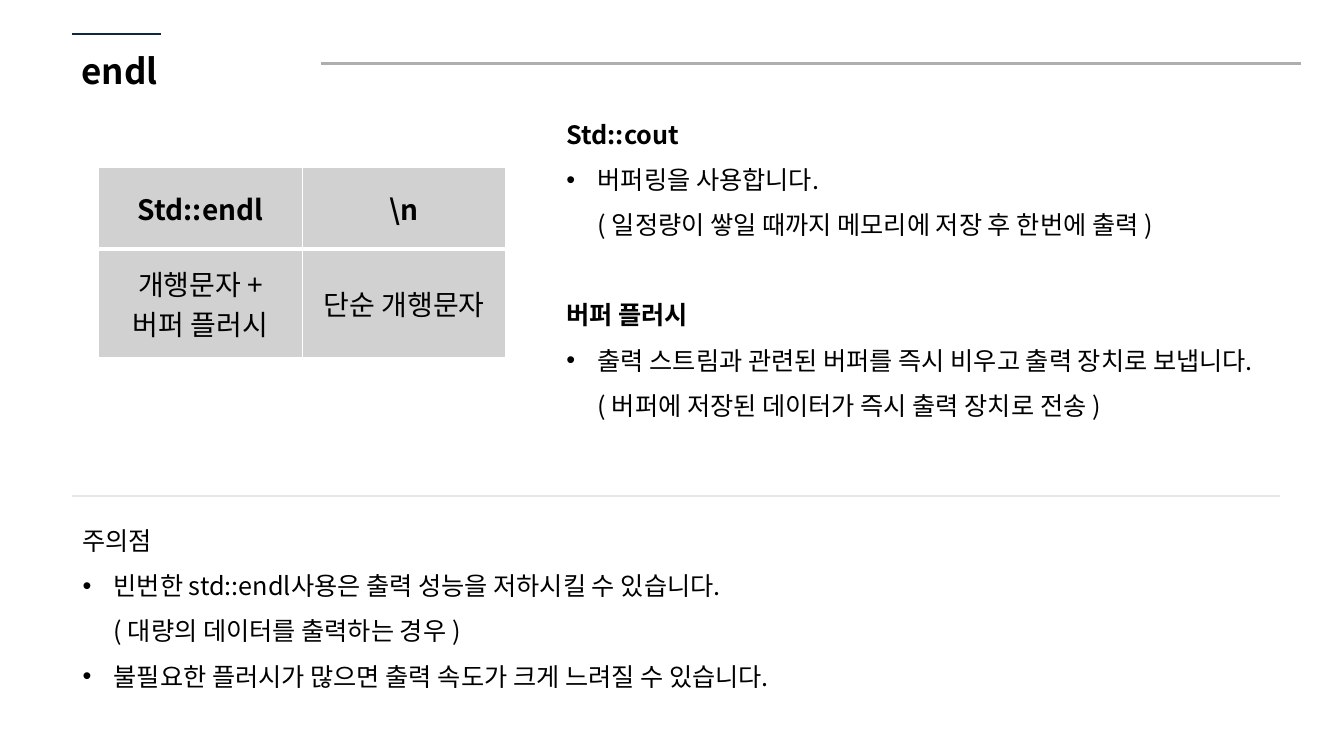
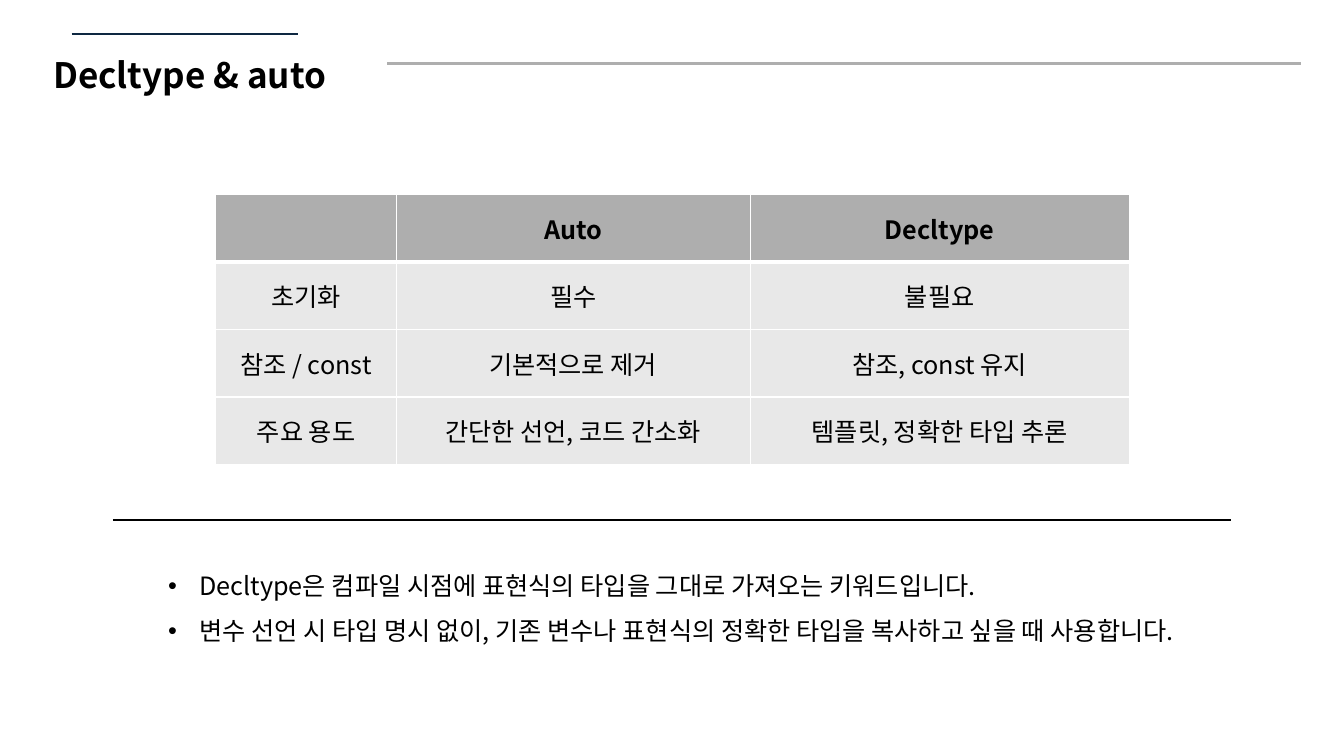
from pptx import Presentation
from pptx.dml.color import RGBColor
from pptx.enum.shapes import MSO_CONNECTOR as Connector
from pptx.enum.text import MSO_ANCHOR as Anchor, PP_ALIGN as Align
from pptx.oxml.ns import qn
from pptx.util import Pt
from lxml.etree import SubElement

# Shared look
PX = 9144  # EMU per px, 100 px to the inch
FONT = "Noto Sans CJK KR"
BLACK = RGBColor(0x00, 0x00, 0x00)
NAVY = RGBColor(0x0E, 0x28, 0x41)
DARK_GRAY = RGBColor(0xAE, 0xAE, 0xAE)
MID_GRAY = RGBColor(0xD1, 0xD1, 0xD1)
LIGHT_GRAY = RGBColor(0xE8, 0xE8, 0xE8)
RULE_RIGHT = 1290
BODY_SIZE = 18
INDENT = 31
SECTION_GAP = 32  # points, one line of body text

# Content: text blocks list (kind, text); "\n" is a line break
SLIDES = [
    {
        "title": "endl", "title_at": (71, 44, 100, 52),
        "accent": (71, 160), "rule_left": 318,
        "divider": (71, 1270, 492, LIGHT_GRAY),
        "table": {
            "at": (98, 166), "columns": (202, 202), "rows": (81, 108),
            "size": 20, "head_fill": MID_GRAY, "body_fill": MID_GRAY,
            "cells": [
                ("Std::endl", "\\n"),
                ("개행문자 +\n버퍼 플러시", "단순 개행문자"),
            ],
        },
        "blocks": [
            ((72, 501, 858, 186), [
                ("plain", "주의점"),
                ("bullet", "빈번한 std::endl사용은 출력 성능을 저하시킬 수 있습니다.\n"
                           "( 대량의 데이터를 출력하는 경우 )"),
                ("bullet", "불필요한 플러시가 많으면 출력 속도가 크게 느려질 수 있습니다."),
            ]),
            ((552, 98, 719, 368), [
                ("heading", "Std::cout"),
                ("bullet", "버퍼링을 사용합니다.\n"
                           "( 일정량이 쌓일 때까지 메모리에 저장 후 한번에 출력 )"),
                ("heading", "버퍼 플러시"),
                ("bullet", "출력 스트림과 관련된 버퍼를 즉시 비우고 출력 장치로 보냅니다.\n"
                           "( 버퍼에 저장된 데이터가 즉시 출력 장치로 전송 )"),
            ]),
        ],
    },
    {
        "title": "Decltype & auto", "title_at": (43, 48, 317, 52),
        "accent": (71, 296), "rule_left": 384,
        "divider": (112, 1221, 516, BLACK),
        "table": {
            "at": (214, 193), "columns": (179, 351, 376), "rows": (67,) * 4,
            "size": 18, "head_fill": DARK_GRAY, "body_fill": LIGHT_GRAY,
            "cells": [
                ("", "Auto", "Decltype"),
                ("초기화", "필수", "불필요"),
                ("참조 / const", "기본적으로 제거", "참조, const 유지"),
                ("주요 용도", "간단한 선언, 코드 간소화", "템플릿, 정확한 타입 추론"),
            ],
        },
        "blocks": [
            ((157, 546, 1020, 141), [
                ("bullet", "Decltype은 컴파일 시점에 표현식의 타입을 그대로 가져오는 키워드입니다."),
                ("bullet", "변수 선언 시 타입 명시 없이, 기존 변수나 표현식의 정확한 타입을 "
                           "복사하고 싶을 때 사용합니다."),
            ]),
        ],
    },
]


def write(para, text, size=BODY_SIZE, bold=False, align=Align.LEFT,
          spacing=None, before=0, bullet=False):
    para.text = text
    para.alignment = align
    para.line_spacing = spacing
    para.space_before = Pt(before)
    for span in para.runs:
        span.font.name = FONT
        span.font.size = Pt(size)
        span.font.bold = bold
        span.font.color.rgb = BLACK
        # Korean glyphs take the East Asian typeface
        latin = span.font._element.find(qn("a:latin"))
        east_asian = latin.makeelement(qn("a:ea"), {"typeface": FONT})
        latin.addnext(east_asian)
    if bullet:
        props = para._p.get_or_add_pPr()
        props.set("marL", str(INDENT * PX))
        props.set("indent", str(-INDENT * PX))
        SubElement(props, qn("a:buFont"), typeface="Arial")
        SubElement(props, qn("a:buChar"), char="•")


def add_box(page, at):
    box = page.shapes.add_textbox(*(value * PX for value in at))
    box.text_frame.word_wrap = True
    return box.text_frame


def add_rule(page, left, right, y, color):
    rule = page.shapes.add_connector(
        Connector.STRAIGHT, left * PX, y * PX, right * PX, y * PX)
    rule.line.color.rgb = color
    rule.line.width = Pt(1.5)
    SubElement(rule._element.spPr, qn("a:effectLst"))


def add_block(page, at, lines):
    frame = add_box(page, at)
    for index, (kind, text) in enumerate(lines):
        para = frame.add_paragraph() if index else frame.paragraphs[0]
        heading = kind == "heading"
        write(para, text, bold=heading, spacing=1.5, bullet=kind == "bullet",
              before=SECTION_GAP if heading and index else 0)


def set_borders(cell, row):
    # White grid, with a thick line under the header row
    widths = {"lnL": 1, "lnR": 1, "lnT": 3 if row == 1 else 1,
              "lnB": 3 if row == 0 else 1}
    props = cell._tc.get_or_add_tcPr()
    for side, width in widths.items():
        line = SubElement(props, qn(f"a:{side}"), w=str(Pt(width)))
        SubElement(SubElement(line, qn("a:solidFill")), qn("a:srgbClr"), val="FFFFFF")


def add_grid(page, at, columns, rows, size, head_fill, body_fill, cells):
    table = page.shapes.add_table(
        len(rows), len(columns), at[0] * PX, at[1] * PX,
        sum(columns) * PX, sum(rows) * PX).table
    table.first_row = table.horz_banding = False
    for column, width in zip(table.columns, columns):
        column.width = width * PX
    for r, (height, texts) in enumerate(zip(rows, cells)):
        table.rows[r].height = height * PX
        for c, text in enumerate(texts):
            cell = table.cell(r, c)
            cell.vertical_anchor = Anchor.MIDDLE
            set_borders(cell, r)
            cell.fill.solid()
            cell.fill.fore_color.rgb = body_fill if r else head_fill
            write(cell.text_frame.paragraphs[0], text, size=size,
                  bold=r == 0, align=Align.CENTER)


def build_page(deck, content):
    page = deck.slides.add_slide(deck.slide_layouts[6])
    # Title band
    add_rule(page, *content["accent"], 34, NAVY)
    add_rule(page, content["rule_left"], RULE_RIGHT, 63, DARK_GRAY)
    write(add_box(page, content["title_at"]).paragraphs[0],
          content["title"], size=25, bold=True)
    # Body
    for at, lines in content["blocks"]:
        add_block(page, at, lines)
    add_grid(page, **content["table"])
    add_rule(page, *content["divider"])


def main():
    deck = Presentation()
    deck.slide_width, deck.slide_height = 1333 * PX, 750 * PX
    for content in SLIDES:
        build_page(deck, content)
    deck.save("out.pptx")


if __name__ == "__main__":
    main()
